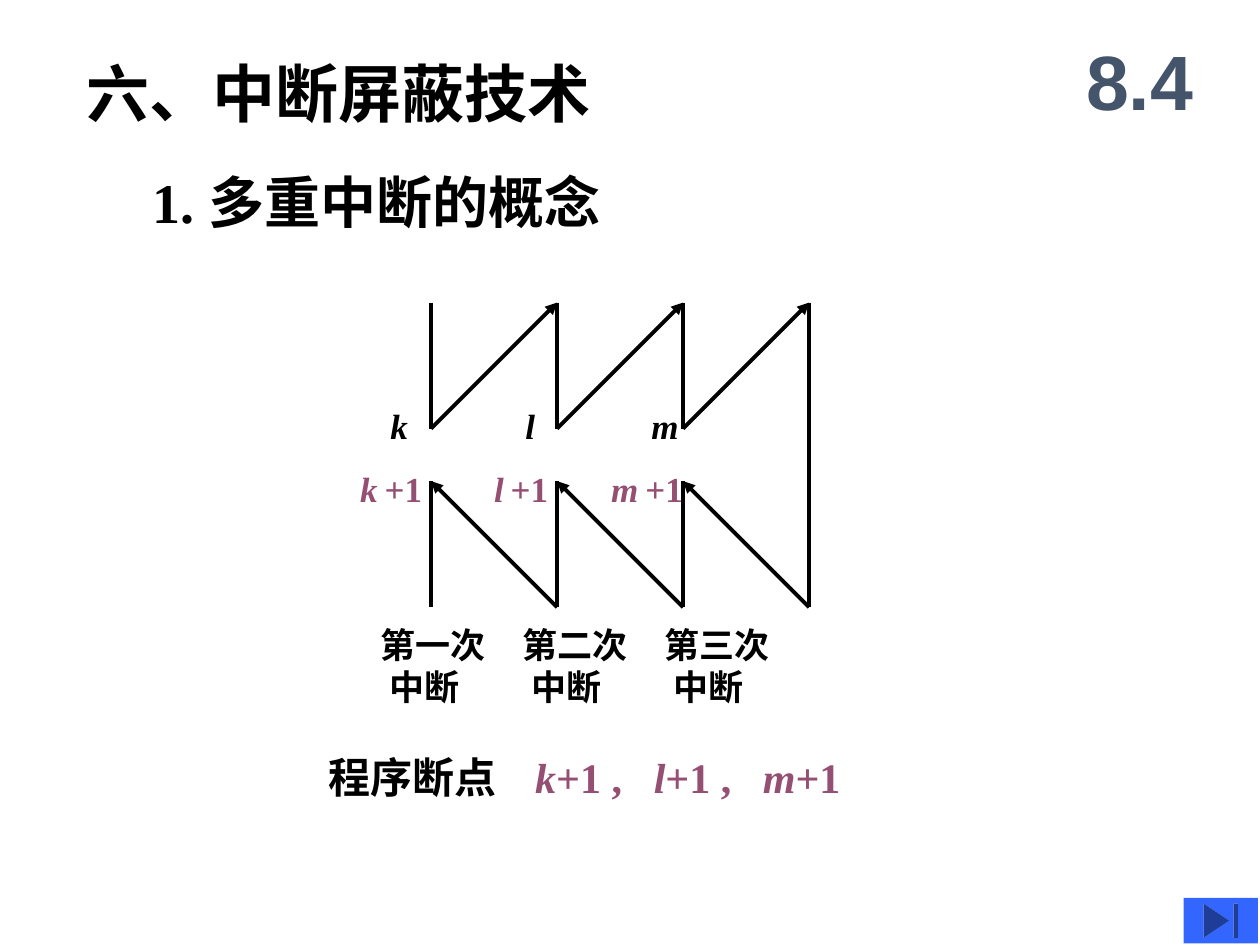
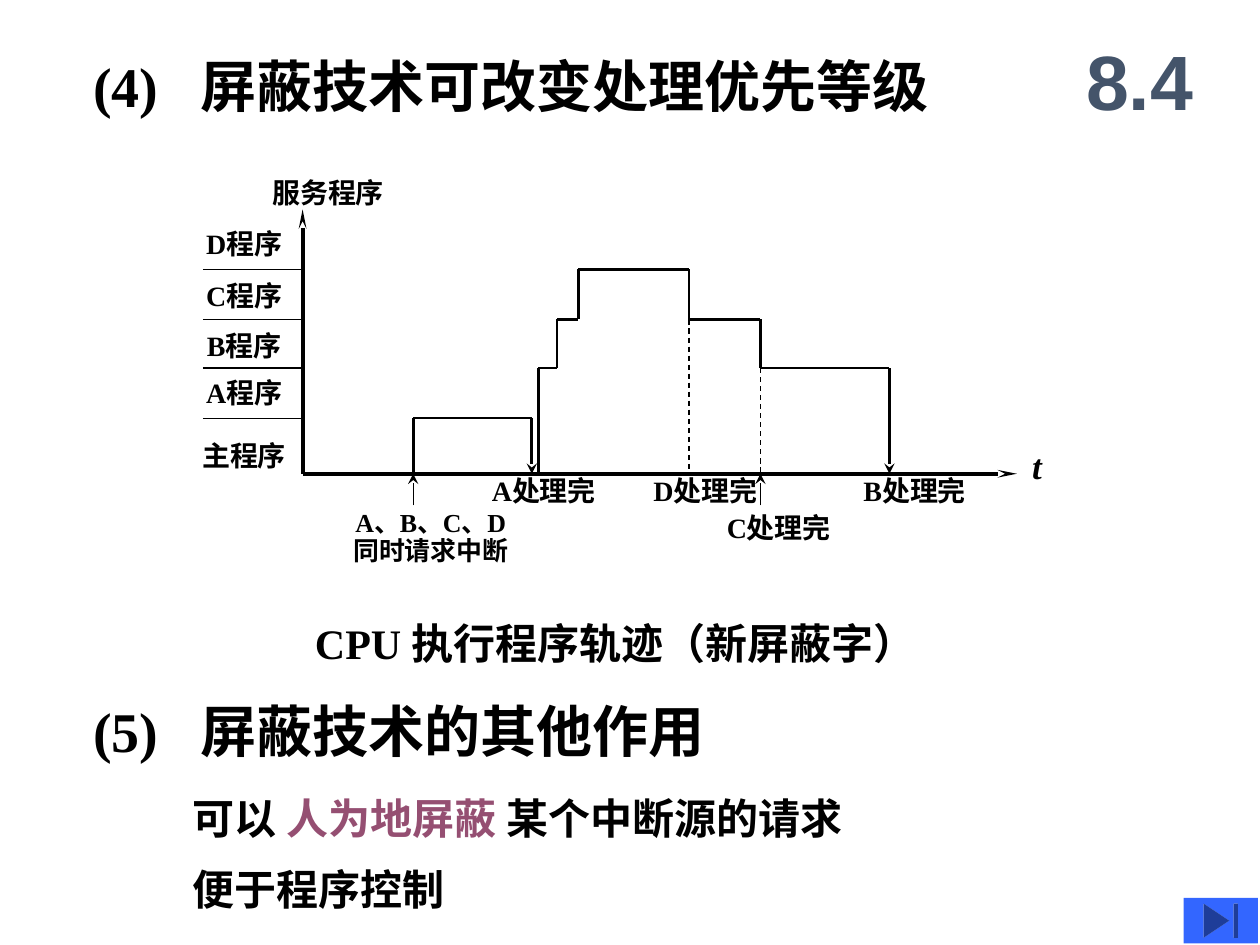
from dataclasses import dataclass
from itertools import pairwise

from lxml.etree import SubElement
from pptx import Presentation
from pptx.dml.color import RGBColor
from pptx.enum.dml import MSO_LINE_DASH_STYLE as Dash
from pptx.enum.lang import MSO_LANGUAGE_ID as Language
from pptx.enum.shapes import MSO_CONNECTOR as Connector, MSO_SHAPE as Shape
from pptx.enum.text import MSO_ANCHOR as Anchor, MSO_AUTO_SIZE as AutoSize, PP_ALIGN as Align
from pptx.oxml.ns import qn
from pptx.util import Cm, Pt

COLORS = {"ink": "000000", "accent": "954F72", "section": "44546A", "button": "3366FF"}
SERIF = "Times New Roman"
TRIANGLE = ("triangle", "med", "med")
STEALTH = ("stealth", "med", "med")
LONG_STEALTH = ("stealth", "sm", "lg")


@dataclass
class Span:
    text: str
    color: str = "ink"
    italic: bool = False
    size: float = 0


def rgb(name):
    return RGBColor.from_string(COLORS[name])


def write(frame, lines, size, align=Align.LEFT, anchor=Anchor.TOP, font=SERIF):
    frame.word_wrap = True
    frame.auto_size = AutoSize.NONE
    frame.vertical_anchor = anchor
    frame.margin_left = frame.margin_right = frame.margin_top = frame.margin_bottom = 0
    for number, line in enumerate(lines):
        para = frame.add_paragraph() if number else frame.paragraphs[0]
        para.alignment = align
        for span in [Span(line)] if isinstance(line, str) else line:
            run = para.add_run()
            run.text = span.text
            run.font.name = font
            run.font.size = Pt(span.size or size)
            run.font.bold = True
            run.font.italic = span.italic
            run.font.color.rgb = rgb(span.color)
            run.font.language_id = Language.SIMPLIFIED_CHINESE


def add_text(page, left, top, width, height, lines, size, **style):
    box = page.shapes.add_textbox(Cm(left), Cm(top), Cm(width), Cm(height))
    write(box.text_frame, lines, size, **style)
    return box.text_frame


def add_tabs(para, *stops):
    tabs = SubElement(para._p.get_or_add_pPr(), qn("a:tabLst"))
    for stop in stops:
        SubElement(tabs, qn("a:tab"), pos=str(Cm(stop)), algn="l")


def add_line(page, start, end, weight, arrow=None, dashed=False):
    line = page.shapes.add_connector(Connector.STRAIGHT, *map(Cm, start + end))
    line.line.color.rgb = rgb("ink")
    line.line.width = Pt(weight)
    if dashed:
        line.line.dash_style = Dash.DASH
    properties = line._element.spPr
    if arrow:
        kind, width, length = arrow
        SubElement(properties.find(qn("a:ln")), qn("a:tailEnd"), type=kind, w=width, len=length)
    SubElement(properties, qn("a:effectLst"))


def add_trace(page, points):
    segments = list(pairwise(points))
    for start, end in segments[:-1]:
        add_line(page, start, end, 1.5)
    add_line(page, *segments[-1], 1.5, STEALTH)


def add_page(deck, title, left, top, width, height, size, anchor):
    page = deck.slides.add_slide(deck.slide_layouts[5])
    holder = page.shapes.title
    holder.left, holder.top, holder.width, holder.height = map(Cm, (left, top, width, height))
    write(holder.text_frame, [title], size, anchor=anchor)
    add_text(page, 21.39, 0.43, 3.17, 2.34, [[Span("8.4", "section")]], 44,
             align=Align.CENTER, anchor=Anchor.MIDDLE, font="Arial")
    button = page.shapes.add_shape(Shape.ACTION_BUTTON_END, Cm(23.86), Cm(18.1), Cm(1.5), Cm(0.92))
    button.shadow.inherit = False
    button.fill.solid()
    button.fill.fore_color.rgb = rgb("button")
    button.line.fill.background()
    return page


def add_zigzag(page):
    step, top, stop, resume, bottom = 2.54, 6.1, 8.64, 9.7, 12.24
    columns = [8.69 + step * number for number in range(4)]
    for x, following in pairwise(columns):
        add_line(page, (x, top), (x, stop), 2.25)
        add_line(page, (x, stop), (following, top), 2.25, TRIANGLE)
        add_line(page, (following, bottom), (x, resume), 2.25, TRIANGLE)
        add_line(page, (x, resume), (x, bottom), 2.25)
    add_line(page, (columns[-1], top), (columns[-1], bottom), 2.25)


def build_nesting_page(deck):
    page = add_page(deck, "六、中断屏蔽技术", 1.75, 1.09, 14, 1.52, 36, Anchor.TOP)
    add_text(page, 3.07, 3.45, 14, 1.19, ["1. 多重中断的概念"], 32, anchor=Anchor.MIDDLE)
    add_zigzag(page)
    interrupts = [("k", "第一次", 7.87, 7.26, 7.67),
                  ("l", "第二次", 10.59, 9.96, 10.54),
                  ("m", "第三次", 13.13, 12.32, 13.39)]
    for name, order, stop_left, resume_left, caption_left in interrupts:
        add_text(page, stop_left, 8.15, 0.8, 0.85, [[Span(name, italic=True)]], 20)
        add_text(page, resume_left, 9.42, 2, 0.85,
                 [[Span(name, "accent", True), Span(" ", "accent", True, 16),
                   Span("+1", "accent")]], 20)
        caption = add_text(page, caption_left, 12.57, 2.5, 1.7, [order, "中断"], 20)
        caption.paragraphs[1]._p.get_or_add_pPr().set("marL", str(Cm(0.18)))
    spans = [Span("程序断点\t")]
    for name, ending in (("k", "+1 ,\t"), ("l", "+1 ,\t"), ("m", "+1")):
        spans += [Span(name, "accent", True), Span(ending, "accent")]
    summary = add_text(page, 6.63, 15.16, 12, 1.02, [spans], 24)
    add_tabs(summary.paragraphs[0], 4.16, 6.55, 8.75)


def add_timeline(page):
    axis, a, b, c, d = 9.55, 8.43, 7.42, 6.44, 5.43
    request, a_done, b_start, c_start, d_start = 8.33, 10.72, 10.85, 11.23, 11.66
    d_done, c_done, b_done = 13.89, 15.33, 17.93
    add_line(page, (6.1, axis), (20.5, axis), 2.25, LONG_STEALTH)
    add_line(page, (6.1, axis), (6.1, 4.22), 2.25, LONG_STEALTH)
    for level in (a, b, c, d):
        add_line(page, (4.09, level), (6.07, level), 0.75)
    add_trace(page, [(request, axis), (request, a), (a_done, a), (a_done, axis)])
    add_trace(page, [(b_start, axis), (b_start, b), (c_start, b), (c_start, c),
                     (d_start, c), (d_start, d), (d_done, d), (d_done, c),
                     (c_done, c), (c_done, b), (b_done, b), (b_done, axis)])
    for moment, level in ((d_done, c), (c_done, b)):
        add_line(page, (moment, level), (moment, axis), 0.75, dashed=True)
    for moment in (request, c_done):
        add_line(page, (moment, 10.19), (moment, axis), 0.75, STEALTH)
    labels = [("服务程序", 5.13, 3.53, 2.97), ("D程序", 3.89, 4.57, 2.06),
              ("C程序", 3.89, 5.61, 2.06), ("B程序", 3.89, 6.63, 2.06),
              ("A程序", 3.89, 7.57, 2.06), ("主程序", 3.89, 8.84, 2.06),
              ("A处理完", 9.63, axis, 2.67), ("D处理完", 12.95, axis, 2.54),
              ("C处理完", 14.48, 10.29, 2.44), ("B处理完", 16.99, axis, 2.9)]
    for text, left, top, width in labels:
        add_text(page, left, top, width, 0.9, [text], 16, align=Align.CENTER)
    add_text(page, 20.32, 8.97, 1.17, 0.9, [[Span("t", italic=True)]], 20, align=Align.CENTER)
    requests = add_text(page, 6.68, 10.29, 4.01, 1.42, ["A、B、C、D", "同时请求中断"], 14.8,
                        align=Align.CENTER)
    for para in requests.paragraphs:
        para.line_spacing = 0.9


def build_priority_page(deck):
    page = add_page(deck, "(4)\t屏蔽技术可改变处理优先等级", 1.88, 1.12, 19.2, 1.19, 32, Anchor.MIDDLE)
    other_uses = add_text(page, 1.88, 14.12, 19.2, 1.19, ["(5)\t屏蔽技术的其他作用"], 32,
                          anchor=Anchor.MIDDLE)
    for frame in (page.shapes.title.text_frame, other_uses):
        add_tabs(frame.paragraphs[0], 2.16)
    add_timeline(page)
    add_text(page, 6.35, 12.45, 14, 1.02, ["CPU 执行程序轨迹（新屏蔽字）"], 24)
    uses = [[Span("可以 "), Span("人为地屏蔽 ", "accent"), Span("某个中断源的请求")], "便于程序控制"]
    for number, use in enumerate(uses):
        add_text(page, 3.89, 15.98 + 1.42 * number, 17, 1.02, [use], 24)


def main():
    deck = Presentation()
    deck.slide_width, deck.slide_height = Cm(25.4), Cm(19.05)
    build_nesting_page(deck)
    build_priority_page(deck)
    deck.save("out.pptx")


if __name__ == "__main__":
    main()
